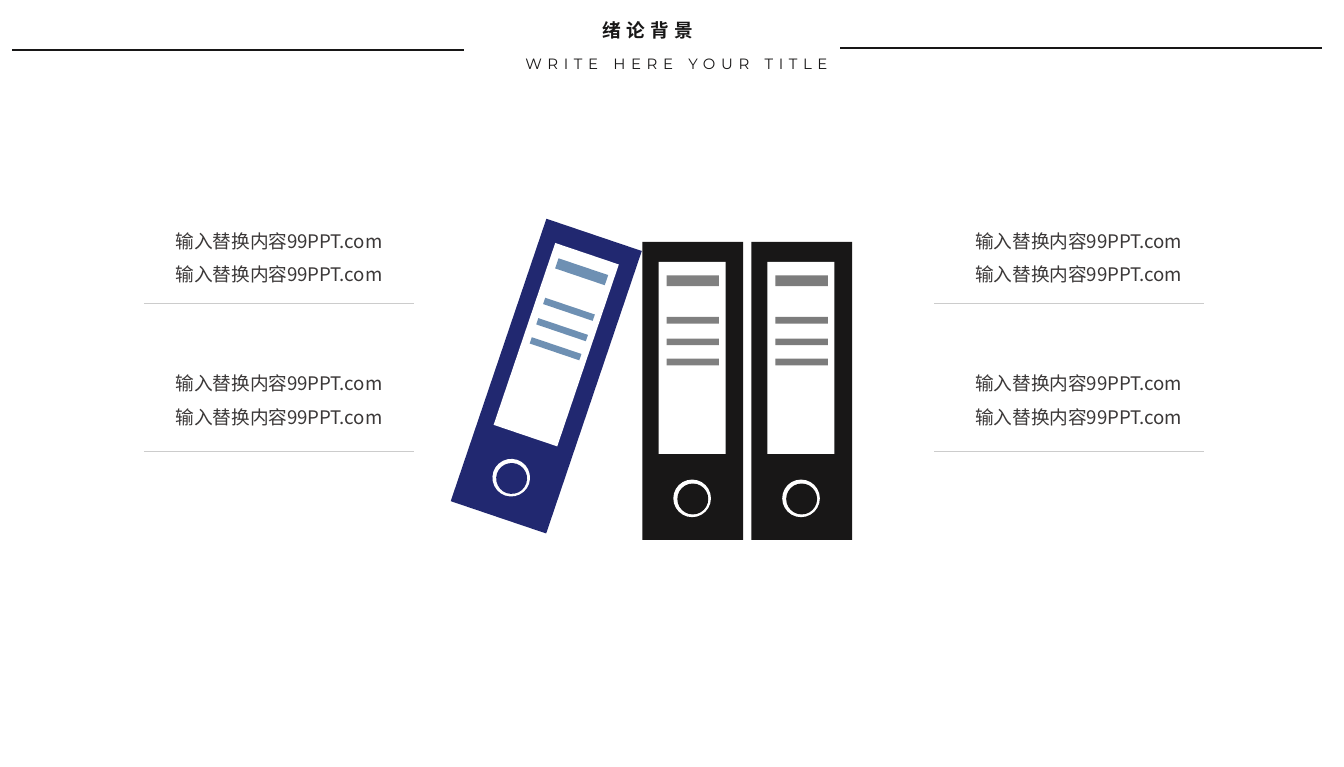
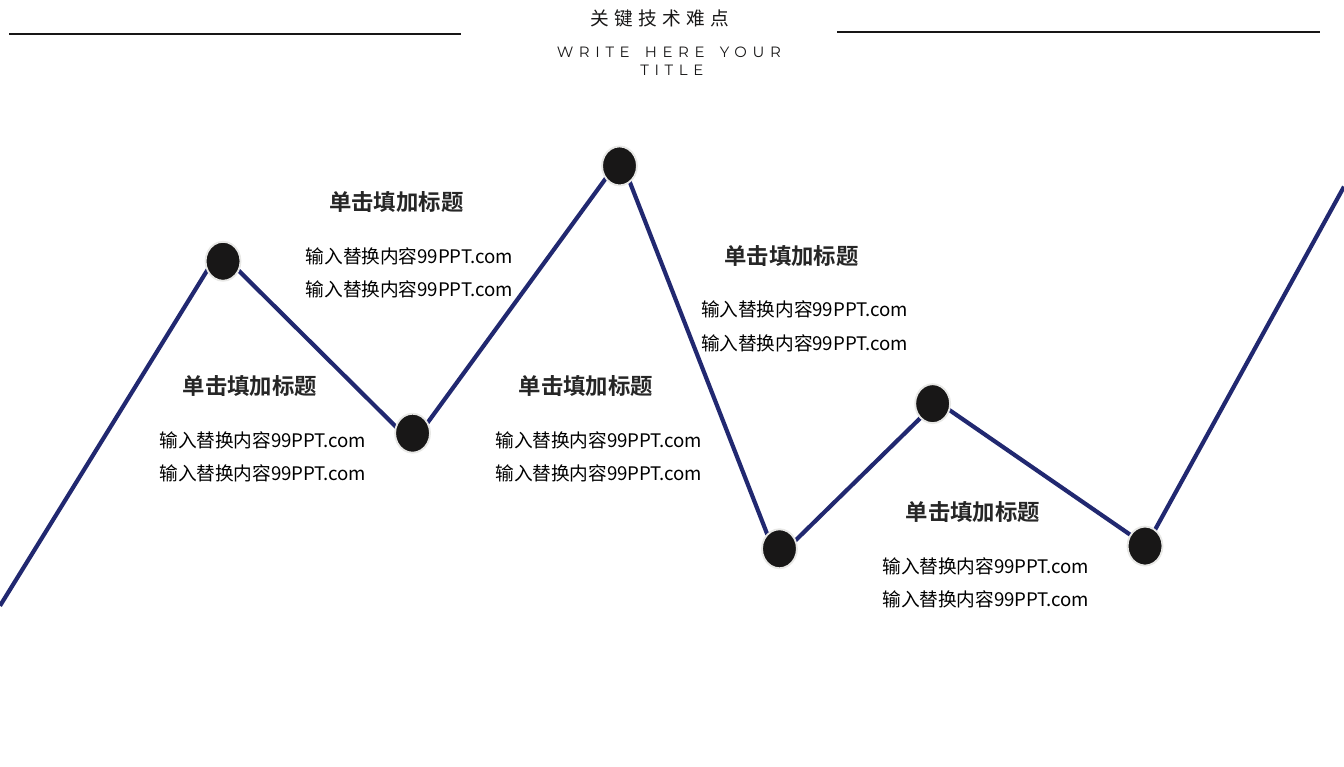
from dataclasses import dataclass
from math import cos, radians, sin
from typing import Any

from lxml import etree
from pptx import Presentation
from pptx.dml.color import RGBColor
from pptx.enum.shapes import MSO_CONNECTOR, MSO_SHAPE
from pptx.enum.text import MSO_ANCHOR, MSO_AUTO_SIZE, PP_ALIGN
from pptx.oxml.ns import qn
from pptx.util import Inches, Pt

RECTANGLE = MSO_SHAPE.RECTANGLE
OVAL = MSO_SHAPE.OVAL
STRAIGHT = MSO_CONNECTOR.STRAIGHT
LEFT = PP_ALIGN.LEFT
CENTER = PP_ALIGN.CENTER
TOP = MSO_ANCHOR.TOP
GROW = MSO_AUTO_SIZE.SHAPE_TO_FIT_TEXT

CHINESE_FONT = "Noto Sans CJK SC"
LATIN_FONT = "Montserrat"
BLACK = "181717"
NAVY = "212870"
WHITE = "FFFFFF"
PALE_GRAY = "CCCCCC"
BODY_LINE = "输入替换内容99PPT.com"
BODY_TEXT = [BODY_LINE, BODY_LINE]
Box = tuple[float, float, float, float]
Point = tuple[float, float]


@dataclass
class Header:
    title: str
    title_box: Box
    subtitle_box: Box
    bold: bool
    wrap: bool
    shift: Point


@dataclass
class Binder:
    left: float
    top: float
    color: str
    bar_color: str
    rotation: float = 0


@dataclass
class Caption:
    left: float
    top: float


HEADERS = [
    Header("绪论背景", (4.38, 0.09, 1.47, 0.27), (3.59, 0.36, 2.89, 0.24), True, True, (0, 0)),
    Header("关键技术难点", (4.29, 0, 1.3, 0.27), (3.98, 0.27, 2.04, 0.37), False, False, (-0.02, -0.12)),
]
BINDER_WIDTH, BINDER_HEIGHT = 0.75, 2.22
BINDERS = [
    Binder(5.59, 1.8, BLACK, "7C7C7C"),
    Binder(4.78, 1.8, BLACK, "808080"),
    Binder(3.69, 1.69, NAVY, "6E90B3", 18.7),
]
CAPTIONS = [Caption(1.36, 2.73), Caption(2.45, 1.36), Caption(3.86, 2.73), Caption(5.39, 1.76), Caption(6.74, 3.67)]
SEGMENTS: list[tuple[Point, Point]] = [
    ((10, 1.39), (8.47, 4.17)),
    ((0, 4.51), (1.63, 1.87)),
    ((1.63, 1.87), (3.07, 3.3)),
    ((3.07, 3.3), (4.63, 1.16)),
    ((4.61, 1.16), (5.71, 3.98)),
    ((6.85, 3.11), (5.8, 4.14)),
    ((6.93, 2.96), (8.51, 4.05)),
]
NODES: list[Point] = [(1.53, 1.8), (2.94, 3.08), (4.48, 1.09), (5.67, 3.94), (6.81, 2.86), (8.39, 3.92)]


def rgb(color: str) -> RGBColor:
    return RGBColor.from_string(color)


def write_text(shape: Any, lines: list[str], *, size: float, color: str, font: str = CHINESE_FONT,
               bold: bool = False, align: Any = CENTER, tracking: float = 0, space_before: float = 0,
               line_spacing: float = 1, wrap: bool = True, inset: bool = True) -> None:
    frame = shape.text_frame
    frame.word_wrap = wrap
    frame.auto_size = GROW
    frame.vertical_anchor = TOP
    frame.margin_left = frame.margin_right = Inches(0.1 if inset else 0)
    frame.margin_top = frame.margin_bottom = Inches(0.05 if inset else 0)
    for index, line in enumerate(lines):
        paragraph = frame.add_paragraph() if index else frame.paragraphs[0]
        paragraph.alignment = align
        paragraph.line_spacing = line_spacing
        paragraph.space_before = Pt(space_before if index else 0)
        run = paragraph.add_run()
        run.text = line
        run.font.size = Pt(size)
        run.font.bold = bold
        run.font.color.rgb = rgb(color)
        run.font.name = font
        properties = run._r.get_or_add_rPr()
        etree.SubElement(properties, qn("a:ea")).set("typeface", font)
        if tracking:
            properties.set("spc", str(round(tracking * 100)))


def add_text(slide: Any, box: Box, lines: list[str], **text_format: Any) -> None:
    shape = slide.shapes.add_textbox(*map(Inches, box))
    write_text(shape, lines, **text_format)


def add_line(shapes: Any, start: Point, end: Point, color: str, width: float) -> None:
    connector = shapes.add_connector(STRAIGHT, *map(Inches, (*start, *end)))
    connector.line.color.rgb = rgb(color)
    connector.line.width = Pt(width)
    etree.SubElement(connector._element.spPr, qn("a:effectLst"))


def add_filled(shapes: Any, kind: Any, box: Box, color: str, outline: str = "") -> Any:
    shape = shapes.add_shape(kind, *map(Inches, box))
    shape.shadow.inherit = False
    shape.fill.solid()
    shape.fill.fore_color.rgb = rgb(color)
    if outline:
        shape.line.color.rgb = rgb(outline)
        shape.line.width = Pt(1)
    else:
        shape.line.fill.background()
    return shape


def add_header_slide(presentation: Any, header: Header) -> Any:
    slide = presentation.slides.add_slide(presentation.slide_layouts[5])
    title = slide.shapes.title
    title.left, title.top, title.width, title.height = map(Inches, header.title_box)
    write_text(title, [header.title], size=10, color=BLACK, bold=header.bold,
               align=LEFT, tracking=3, wrap=header.wrap)
    shift_x, shift_y = header.shift
    for left, right, y in ((0.09, 3.45, 0.37), (6.25, 9.84, 0.36)):
        add_line(slide.shapes, (left + shift_x, y + shift_y), (right + shift_x, y + shift_y), BLACK, 1)
    add_text(slide, header.subtitle_box, ["WRITE HERE YOUR TITLE"], size=8, color=BLACK,
             font=LATIN_FONT, tracking=3)
    return slide


def add_binder(slide: Any, binder: Binder) -> None:
    group = slide.shapes.add_group_shape()
    angle = radians(binder.rotation)
    center_x = binder.left + BINDER_WIDTH / 2
    center_y = binder.top + BINDER_HEIGHT / 2
    bars = [(RECTANGLE, (0.18, y, 0.39, height), binder.bar_color)
            for y, height in ((0.56, 0.05), (0.72, 0.05), (0.87, 0.05), (0.25, 0.08))]
    parts = [
        (RECTANGLE, (0, 0, BINDER_WIDTH, BINDER_HEIGHT), binder.color),
        (RECTANGLE, (0.12, 0.15, 0.5, 1.43), WHITE),
        *bars,
        (OVAL, (0.23, 1.77, 0.28, 0.28), WHITE),
        (OVAL, (0.26, 1.8, 0.23, 0.23), binder.color),
    ]
    for kind, (x, y, width, height), color in parts:
        offset_x = x + (width - BINDER_WIDTH) / 2
        offset_y = y + (height - BINDER_HEIGHT) / 2
        left = center_x + offset_x * cos(angle) - offset_y * sin(angle) - width / 2
        top = center_y + offset_x * sin(angle) + offset_y * cos(angle) - height / 2
        shape = add_filled(group.shapes, kind, (left, top, width, height), color)
        shape.rotation = binder.rotation


def add_caption(slide: Any, caption: Caption) -> None:
    add_text(slide, (caption.left, caption.top, 1, 0.24), ["单击填加标题"], size=12,
             color="262626", bold=True, line_spacing=1.2, inset=False)
    add_text(slide, (caption.left - 0.48, caption.top + 0.41, 2.15, 0.52), BODY_TEXT,
             size=10, color="000000", space_before=6)


def build_background_slide(presentation: Any) -> None:
    slide = add_header_slide(presentation, HEADERS[0])
    for binder in BINDERS:
        add_binder(slide, binder)
    for line_left, text_left in ((6.95, 6.95), (1.07, 1)):
        for line_y, text_top in ((2.26, 1.66), (3.36, 2.72)):
            add_line(slide.shapes, (line_left, line_y), (line_left + 2.01, line_y), PALE_GRAY, 0.5)
            add_text(slide, (text_left, text_top, 2.15, 0.52), BODY_TEXT, size=10,
                     color="3B3838", space_before=6)


def build_difficulties_slide(presentation: Any) -> None:
    slide = add_header_slide(presentation, HEADERS[1])
    zigzag = slide.shapes.add_group_shape()
    for start, end in SEGMENTS:
        add_line(zigzag.shapes, start, end, NAVY, 2.25)
    for left, top in NODES:
        add_filled(zigzag.shapes, OVAL, (left, top, 0.26, 0.29), BLACK, "E8E8E6")
    for caption in CAPTIONS:
        add_caption(slide, caption)


def main() -> None:
    presentation = Presentation()
    presentation.slide_width = Inches(10)
    presentation.slide_height = Inches(5.71)
    build_background_slide(presentation)
    build_difficulties_slide(presentation)
    presentation.save("out.pptx")


if __name__ == "__main__":
    main()
